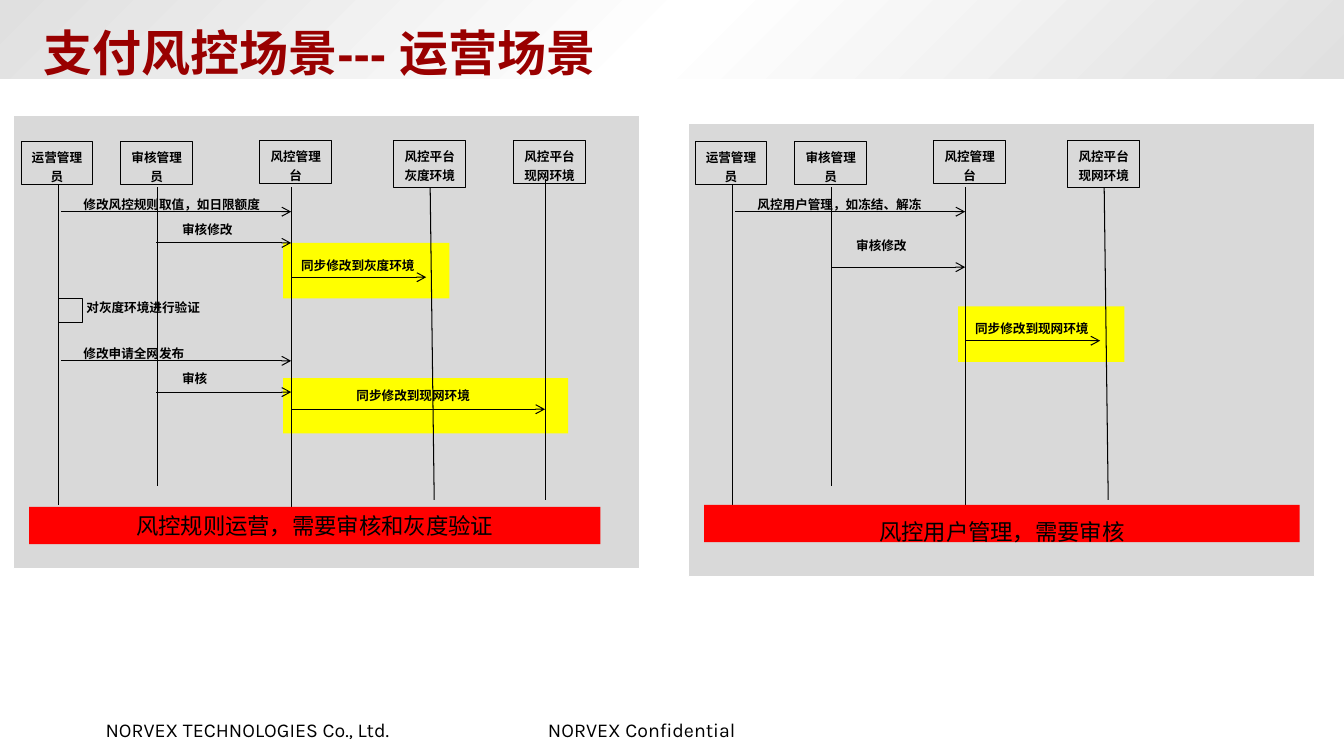
from dataclasses import dataclass

from copy import deepcopy
from pptx import Presentation
from pptx.dml.color import RGBColor
from pptx.enum.shapes import MSO_CONNECTOR, MSO_SHAPE
from pptx.enum.text import MSO_ANCHOR, MSO_AUTO_SIZE, PP_ALIGN
from pptx.oxml.ns import qn
from pptx.shapes.autoshape import Shape
from pptx.shapes.connector import Connector
from pptx.slide import Slide
from pptx.text.text import TextFrame
from pptx.util import Pt
from lxml.etree import SubElement

EMU_PER_PX = 9144
BLACK = RGBColor(0x00, 0x00, 0x00)
WHITE = RGBColor(0xFF, 0xFF, 0xFF)
SILVER = RGBColor(0xE0, 0xE0, 0xE0)
PANEL_GREY = RGBColor(0xD9, 0xD9, 0xD9)
YELLOW = RGBColor(0xFF, 0xFF, 0x00)
RED = RGBColor(0xFF, 0x00, 0x00)
TITLE_RED = RGBColor(0x99, 0x00, 0x00)
BODY_FONT = "Karla"
BANNER_FONT = "Noto Sans CJK SC"
LINE_SPACING = 1.3


@dataclass(frozen=True)
class Box:
    left: int
    top: int
    width: int
    height: int


@dataclass(frozen=True)
class Lane:
    text: str
    box: Box
    start: tuple[int, int]
    end: tuple[int, int]


@dataclass(frozen=True)
class Label:
    text: str
    box: Box


@dataclass(frozen=True)
class Message:
    start: int
    end: int
    y: int
    label: Label


@dataclass(frozen=True)
class Panel:
    offset: int
    frame: Box
    highlights: list[Box]
    lanes: list[Lane]
    messages: list[Message]
    banner: Label
    banner_spacing: float


OPERATOR = Lane("运营管理员", Box(21, 140, 71, 43), (58, 183), (58, 501))
REVIEWER = Lane("审核管理员", Box(120, 140, 71, 43), (156, 186), (156, 482))
CONSOLE = Lane("风控管理台", Box(258, 139, 71, 43), (289, 186), (289, 504))
GRAY_BOX, GRAY_START, GRAY_END = Box(391, 139, 71, 47), (427, 186), (431, 496)
GRAY = Lane("风控平台\n灰度环境", GRAY_BOX, GRAY_START, GRAY_END)
LIVE = Lane("风控平台\n现网环境", Box(510, 139, 71, 43), (541, 178), (541, 496))
LIVE_ONLY = Lane("风控平台\n现网环境", GRAY_BOX, GRAY_START, GRAY_END)
SELF_CHECK = Box(58, 296, 24, 24)
SELF_CHECK_LABEL = Label("对灰度环境进行验证", Box(76, 288, 197, 30))

PANELS = [
    Panel(
        0,
        Box(13, 115, 622, 449),
        [Box(281, 375, 283, 55), Box(281, 241, 165, 55)],
        [OPERATOR, REVIEWER, CONSOLE, GRAY, LIVE],
        [
            Message(61, 289, 210, Label("修改风控规则取值，如日限额度", Box(73, 186, 208, 30))),
            Message(155, 289, 241, Label("审核修改", Box(171, 211, 197, 30))),
            Message(289, 423, 275, Label("同步修改到灰度环境", Box(289, 246, 205, 30))),
            Message(61, 289, 358, Label("修改申请全网发布", Box(73, 334, 208, 30))),
            Message(155, 289, 389, Label("审核", Box(171, 359, 197, 28))),
            Message(289, 541, 406, Label("同步修改到现网环境", Box(344, 375, 150, 30))),
        ],
        Label("风控规则运营，需要审核和灰度验证", Box(29, 503, 567, 37)),
        1.0,
    ),
    Panel(
        669,
        Box(14, 123, 622, 449),
        [Box(282, 304, 165, 55)],
        [OPERATOR, REVIEWER, CONSOLE, LIVE_ONLY],
        [
            Message(61, 289, 210, Label("风控用户管理，如冻结、解冻", Box(73, 186, 208, 30))),
            Message(156, 289, 265, Label("审核修改", Box(171, 227, 197, 30))),
            Message(289, 423, 338, Label("同步修改到现网环境", Box(289, 309, 205, 30))),
        ],
        Label("风控用户管理，需要审核", Box(30, 501, 591, 37)),
        LINE_SPACING,
    ),
]
FOOTERS = [
    Label("NORVEX TECHNOLOGIES Co., Ltd.", Box(95, 707, 326, 34)),
    Label("NORVEX Confidential", Box(534, 707, 218, 34)),
]


def px(length: int) -> int:
    """Turn px into EMU."""
    return length * EMU_PER_PX


def place(box: Box, offset: int) -> tuple[int, int, int, int]:
    """Give the EMU position and size of a box moved right by offset."""
    return px(box.left + offset), px(box.top), px(box.width), px(box.height)


def write(frame: TextFrame, text: str, size: int, font: str = BODY_FONT, bold: bool = False,
          color: RGBColor = BLACK, align: PP_ALIGN = PP_ALIGN.LEFT,
          spacing: float = LINE_SPACING) -> None:
    """Fill a text frame with evenly styled paragraphs."""
    frame.word_wrap = True
    frame.vertical_anchor = MSO_ANCHOR.TOP
    frame.text = text
    for paragraph in frame.paragraphs:
        paragraph.alignment = align
        paragraph.line_spacing = spacing
        paragraph.font.name = font
        paragraph.font.size = Pt(size)
        paragraph.font.bold = bold
        paragraph.font.color.rgb = color


def add_rectangle(slide: Slide, box: Box, offset: int = 0, fill: RGBColor | None = None,
                  line: RGBColor | None = None) -> Shape:
    """Draw a flat rectangle."""
    shape = slide.shapes.add_shape(MSO_SHAPE.RECTANGLE, *place(box, offset))
    shape.shadow.inherit = False
    if fill is None:
        shape.fill.background()
    else:
        shape.fill.solid()
        shape.fill.fore_color.rgb = fill
    if line is None:
        shape.line.fill.background()
    else:
        shape.line.color.rgb = line
        shape.line.width = Pt(0.75)
    return shape


def add_line(slide: Slide, start: tuple[int, int], end: tuple[int, int], offset: int) -> Connector:
    """Draw a thin black line."""
    connector = slide.shapes.add_connector(
        MSO_CONNECTOR.STRAIGHT, px(start[0] + offset), px(start[1]), px(end[0] + offset), px(end[1]))
    connector.line.color.rgb = BLACK
    connector.line.width = Pt(0.75)
    SubElement(connector._element.spPr, qn("a:effectLst"))
    return connector


def add_label(slide: Slide, label: Label, offset: int = 0) -> None:
    """Write a small bold caption."""
    frame = slide.shapes.add_textbox(*place(label.box, offset)).text_frame
    write(frame, label.text, 9, bold=True)
    frame.auto_size = MSO_AUTO_SIZE.SHAPE_TO_FIT_TEXT


def add_lane(slide: Slide, lane: Lane, offset: int) -> None:
    """Draw a participant box and its lifeline."""
    add_line(slide, lane.start, lane.end, offset)
    frame = add_rectangle(slide, lane.box, offset, line=BLACK).text_frame
    frame.margin_left = frame.margin_right = px(9)
    frame.margin_top = frame.margin_bottom = px(4)
    write(frame, lane.text, 9, bold=True, align=PP_ALIGN.CENTER)


def add_message(slide: Slide, message: Message, offset: int) -> None:
    """Draw an arrow between lifelines with its caption."""
    arrow = add_line(slide, (message.start, message.y), (message.end, message.y), offset)
    SubElement(arrow.line._get_or_add_ln(), qn("a:tailEnd"), type="arrow")
    add_label(slide, message.label, offset)


def add_panel(slide: Slide, panel: Panel) -> None:
    """Draw one sequence diagram."""
    add_rectangle(slide, panel.frame, panel.offset, PANEL_GREY, WHITE)
    for highlight in panel.highlights:
        add_rectangle(slide, highlight, panel.offset, YELLOW)
    for lane in panel.lanes:
        add_lane(slide, lane, panel.offset)
    for message in panel.messages:
        add_message(slide, message, panel.offset)
    banner = add_rectangle(slide, panel.banner.box, panel.offset, RED)
    write(banner.text_frame, panel.banner.text, 16, BANNER_FONT, align=PP_ALIGN.CENTER,
          spacing=panel.banner_spacing)


def add_header(slide: Slide) -> None:
    """Draw the gradient strip and the title."""
    strip = add_rectangle(slide, Box(0, 0, 1334, 78))
    strip.fill.gradient()
    strip.fill.gradient_angle = 315
    stop_list = strip._element.spPr.find(".//" + qn("a:gsLst"))
    stop_list.append(deepcopy(stop_list[0]))
    for stop, position, color in zip(strip.fill.gradient_stops, (0, 0.5, 1), (SILVER, WHITE, SILVER)):
        stop.position = position
        stop.color.rgb = color
    frame = slide.shapes.add_textbox(*place(Box(33, 0, 1267, 87), 0)).text_frame
    write(frame, "支付风控场景--- 运营场景", 35, "Arial", True, TITLE_RED)
    frame.auto_size = MSO_AUTO_SIZE.SHAPE_TO_FIT_TEXT


def main() -> None:
    """Build and save the slide."""
    presentation = Presentation()
    presentation.slide_width, presentation.slide_height = px(1334), px(750)
    slide = presentation.slides.add_slide(presentation.slide_layouts[6])
    for footer in FOOTERS:
        frame = slide.shapes.add_textbox(*place(footer.box, 0)).text_frame
        write(frame, footer.text, 14, spacing=1.0)
        frame.word_wrap = False
    add_header(slide)
    for panel in PANELS:
        add_panel(slide, panel)
    add_label(slide, SELF_CHECK_LABEL)
    add_rectangle(slide, SELF_CHECK, line=BLACK)
    presentation.save("out.pptx")


if __name__ == "__main__":
    main()
